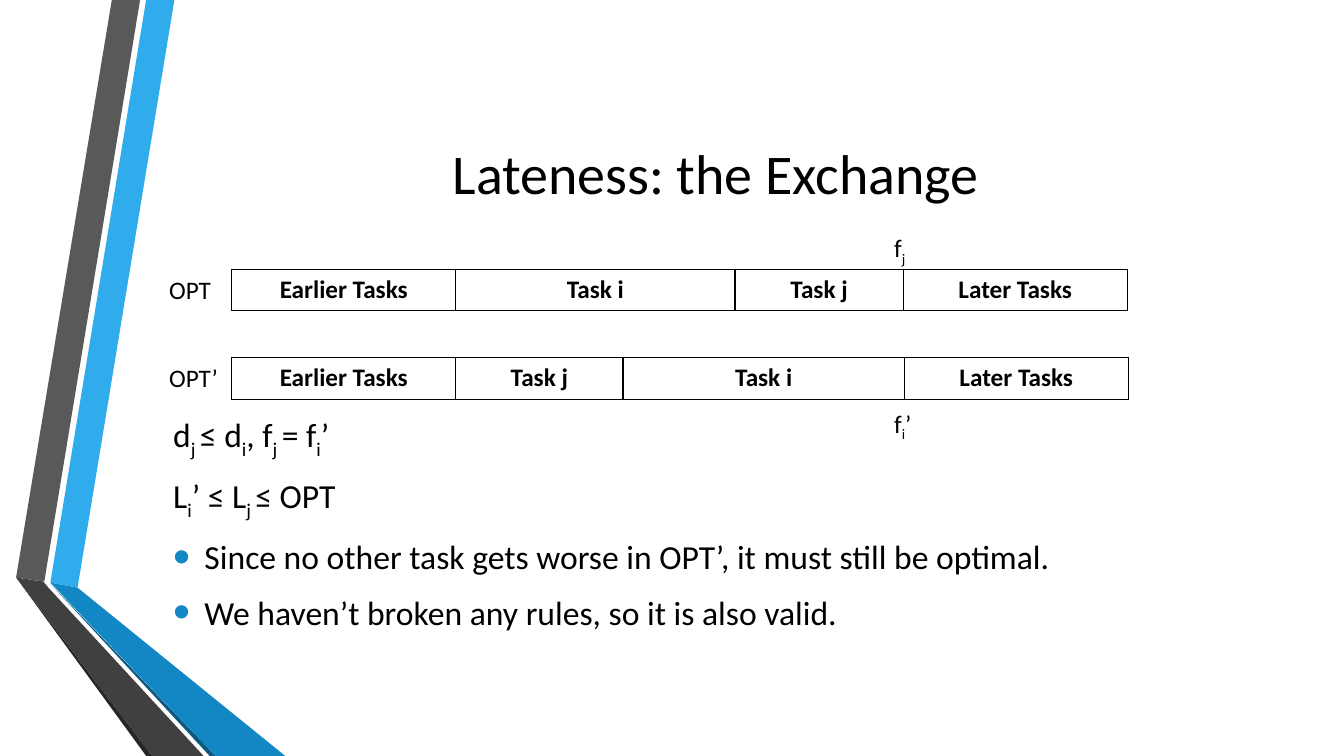
"""Build the slide that shows the exchange step of the lateness argument."""
from dataclasses import dataclass

from lxml import etree
from pptx import Presentation
from pptx.dml.color import RGBColor
from pptx.enum.text import MSO_ANCHOR, PP_ALIGN
from pptx.oxml.ns import qn
from pptx.util import Inches, Pt

LEFT, CENTER = PP_ALIGN.LEFT, PP_ALIGN.CENTER
TOP, MIDDLE = MSO_ANCHOR.TOP, MSO_ANCHOR.MIDDLE
BLACK = "000000"
BULLET_BLUE = "1287C3"
SUBSCRIPT_MARK = "|"
BAR_LEFT, BAR_HEIGHT = 2.3, 0.41


@dataclass
class Ribbon:
    color: str
    points: list[tuple[float, float]]


@dataclass
class Line:
    text: str
    size: int
    bold: bool = False
    bullet: bool = False
    alignment: PP_ALIGN = LEFT


@dataclass
class TextBox:
    left: float
    top: float
    width: float
    height: float
    lines: list[Line]
    anchor: MSO_ANCHOR = TOP
    wrap: bool = False


@dataclass
class Schedule:
    top: float
    tasks: list[tuple[str, float]]


RIBBONS = [
    Ribbon("30ACEC", [(0.5, 5.78), (0.77, 5.83), (1.73, 0), (1.45, 0)]),
    Ribbon("595959", [(1.39, 0), (1.11, 0), (0.16, 5.73), (0.44, 5.77)]),
    Ribbon("262626", [(0.16, 5.73), (1.45, 7.5), (1.51, 7.5)]),
    Ribbon("0C5A82", [(0.5, 5.79), (2.08, 7.5), (2.14, 7.5)]),
    Ribbon("1287C3", [(0.5, 5.78), (2.14, 7.5), (2.83, 7.5), (0.77, 5.83)]),
    Ribbon("404040", [(2.02, 7.5), (0.48, 5.83), (0.43, 5.77), (0.16, 5.73), (1.51, 7.5)]),
]
SCHEDULES = [
    Schedule(2.67, [("Earlier Tasks", 2.22), ("Task i", 2.77), ("Task j", 1.67), ("Later Tasks", 2.22)]),
    Schedule(3.55, [("Earlier Tasks", 2.22), ("Task j", 1.66), ("Task i", 2.79), ("Later Tasks", 2.22)]),
]
TEXT_BOXES = [
    TextBox(1.62, 0.75, 10.96, 1.92, [Line("Lateness: the Exchange", 40, alignment=CENTER)], MIDDLE, True),
    TextBox(1.62, 4.06, 10.96, 2.28, [
        Line("d|j |≤ d|i|, f|j |= f|i|’", 24),
        Line("L|i|’ ≤ L|j |≤ OPT", 24),
        Line("Since no other task gets worse in OPT’, it must still be optimal.", 24, bullet=True),
        Line("We haven’t broken any rules, so it is also valid.", 24, bullet=True),
    ], wrap=True),
    TextBox(8.77, 4, 0.38, 0.4, [Line("f|i|’", 18)]),
    TextBox(8.77, 2.26, 0.32, 0.4, [Line("f|j", 18)]),
    TextBox(1.58, 2.67, 0.67, 0.4, [Line("OPT", 18)]),
    TextBox(1.58, 3.55, 0.73, 0.4, [Line("OPT’", 18)]),
]


def rgb(color: str) -> RGBColor:
    return RGBColor.from_string(color)


def apply_format(target, values: dict) -> None:
    for name, value in values.items():
        setattr(target, name, value)


def add_color(parent, color: str) -> None:
    etree.SubElement(parent, qn("a:srgbClr"), val=color)


def add_bullet(paragraph) -> None:
    properties = paragraph._p.get_or_add_pPr()
    properties.set("marL", str(Inches(0.31)))
    properties.set("indent", str(Inches(-0.31)))
    add_color(etree.SubElement(properties, qn("a:buClr")), BULLET_BLUE)
    etree.SubElement(properties, qn("a:buSzPct"), val="145000")
    etree.SubElement(properties, qn("a:buFont"), typeface="Arial")
    etree.SubElement(properties, qn("a:buChar"), char="•")


def write_line(paragraph, line: Line) -> None:
    paragraph.alignment = line.alignment
    if line.bullet:
        add_bullet(paragraph)
    for index, part in enumerate(line.text.split(SUBSCRIPT_MARK)):
        run = paragraph.add_run()
        run.text = part
        apply_format(run.font, {"name": "Calibri", "size": Pt(line.size), "bold": line.bold})
        run.font.color.rgb = rgb(BLACK)
        if index % 2:
            run._r.get_or_add_rPr().set("baseline", "-25000")


def add_ribbon(slide, ribbon: Ribbon) -> None:
    points = [(Inches(x), Inches(y)) for x, y in ribbon.points]
    builder = slide.shapes.build_freeform(*points[0])
    builder.add_line_segments(points[1:], close=True)
    shape = builder.convert_to_shape()
    shape.shadow.inherit = False
    shape.fill.solid()
    shape.fill.fore_color.rgb = rgb(ribbon.color)
    shape.line.fill.background()


def add_text_box(slide, box: TextBox) -> None:
    bounds = (Inches(value) for value in (box.left, box.top, box.width, box.height))
    frame = slide.shapes.add_textbox(*bounds).text_frame
    apply_format(frame, {"word_wrap": box.wrap, "vertical_anchor": box.anchor})
    for index, line in enumerate(box.lines):
        paragraph = frame.add_paragraph() if index else frame.paragraphs[0]
        if len(box.lines) > 1:
            apply_format(paragraph, {"space_before": Pt(4.8 if index else 0), "space_after": Pt(6)})
        write_line(paragraph, line)


def add_borders(cell) -> None:
    properties = cell._tc.get_or_add_tcPr()
    for index, side in enumerate(("a:lnL", "a:lnR", "a:lnT", "a:lnB")):
        border = etree.Element(qn(side), w=str(Pt(1)))
        add_color(etree.SubElement(border, qn("a:solidFill")), BLACK)
        properties.insert(index, border)


def add_schedule(slide, schedule: Schedule) -> None:
    width = sum(task_width for _, task_width in schedule.tasks)
    table = slide.shapes.add_table(
        1, len(schedule.tasks), Inches(BAR_LEFT), Inches(schedule.top), Inches(width), Inches(BAR_HEIGHT)
    ).table
    apply_format(table, {"first_row": False, "horz_banding": False})
    for index, (name, task_width) in enumerate(schedule.tasks):
        table.columns[index].width = Inches(task_width)
        cell = table.cell(0, index)
        cell.fill.background()
        add_borders(cell)
        write_line(cell.text_frame.paragraphs[0], Line(name, 18, bold=True, alignment=CENTER))


def main() -> None:
    presentation = Presentation()
    apply_format(presentation, {"slide_width": Inches(13.33), "slide_height": Inches(7.5)})
    slide = presentation.slides.add_slide(presentation.slide_layouts[6])
    for ribbon in RIBBONS:
        add_ribbon(slide, ribbon)
    for box in TEXT_BOXES:
        add_text_box(slide, box)
    for schedule in SCHEDULES:
        add_schedule(slide, schedule)
    presentation.save("out.pptx")


if __name__ == "__main__":
    main()
